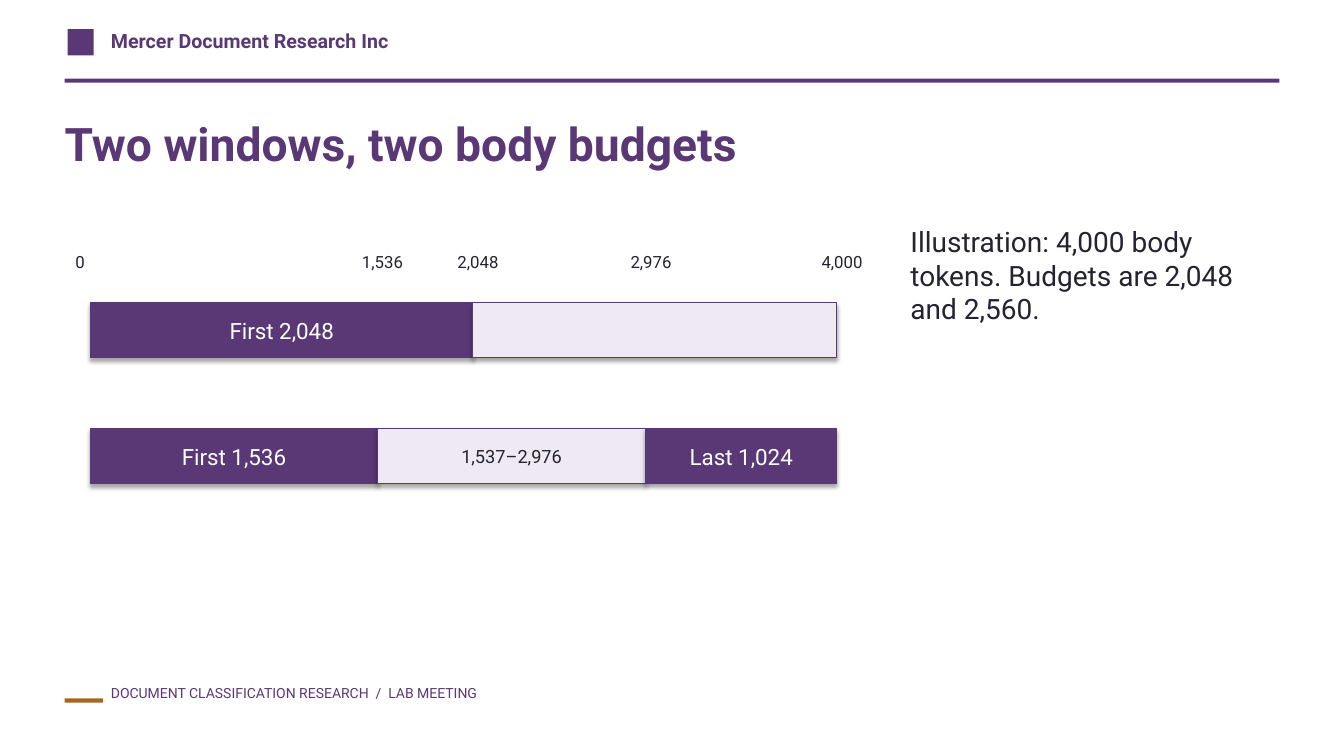
from dataclasses import dataclass

from lxml import etree
from pptx import Presentation
from pptx.dml.color import RGBColor
from pptx.enum.shapes import MSO_SHAPE
from pptx.enum.text import MSO_ANCHOR, PP_ALIGN
from pptx.oxml.ns import qn
from pptx.shapes.autoshape import Shape
from pptx.slide import Slide
from pptx.text.text import TextFrame
from pptx.util import Inches, Pt

RECTANGLE = MSO_SHAPE.RECTANGLE
MIDDLE = MSO_ANCHOR.MIDDLE
LEFT, CENTER = PP_ALIGN.LEFT, PP_ALIGN.CENTER

FONT = "Roboto"
PURPLE, LILAC, BRONZE = "593875", "EFE9F4", "A56720"
INK, WHITE = "242331", "FFFFFF"

TOTAL_TOKENS = 4000
BAR_LEFT, BAR_WIDTH, BAR_HEIGHT = 0.9, 7.4, 0.55
TICK_TOP, TICK_OFFSET = 2.45, 0.25


@dataclass(frozen=True)
class Segment:
    start: int
    end: int
    text: str = ""
    kept: bool = True


@dataclass(frozen=True)
class Window:
    top: float
    segments: tuple[Segment, ...]


TICKS = (0, 1536, 2048, 2976, TOTAL_TOKENS)
WINDOWS = (
    Window(3, (
        Segment(0, 2048, "First 2,048"),
        Segment(2048, TOTAL_TOKENS, kept=False),
    )),
    Window(4.25, (
        Segment(0, 1536, "First 1,536"),
        Segment(1536, 2976, "1,537–2,976", kept=False),
        Segment(2976, TOTAL_TOKENS, "Last 1,024"),
    )),
)


def color(value: str) -> RGBColor:
    return RGBColor.from_string(value)


def token_x(token: int) -> float:
    """Return the horizontal position of a token on the bars, in inches."""
    return BAR_LEFT + BAR_WIDTH * token / TOTAL_TOKENS


def write_text(frame: TextFrame, text: str, *, size: float, fill: str = INK,
               bold: bool = False, align: PP_ALIGN = LEFT) -> None:
    paragraph = frame.paragraphs[0]
    paragraph.alignment = align
    run = paragraph.add_run()
    run.text = text
    run.font.name = FONT
    run.font.size = Pt(size)
    run.font.bold = bold
    run.font.color.rgb = color(fill)


def add_text(slide: Slide, text: str, left: float, top: float, width: float,
             height: float, *, size: float, fill: str = INK, bold: bool = False,
             wrap: bool = True, inset: bool = False) -> None:
    box = slide.shapes.add_textbox(Inches(left), Inches(top), Inches(width), Inches(height))
    frame = box.text_frame
    frame.word_wrap = wrap
    if not inset:
        frame.margin_left = frame.margin_right = 0
        frame.margin_top = frame.margin_bottom = 0
    write_text(frame, text, size=size, fill=fill, bold=bold)


def add_rectangle(slide: Slide, left: float, top: float, width: float,
                  height: float, fill: str) -> Shape:
    shape = slide.shapes.add_shape(
        RECTANGLE, Inches(left), Inches(top), Inches(width), Inches(height))
    shape.shadow.inherit = False
    shape.fill.solid()
    shape.fill.fore_color.rgb = color(fill)
    shape.line.fill.background()
    return shape


def add_shadow(shape: Shape) -> None:
    effects = shape.element.spPr.find(qn("a:effectLst"))
    shadow = etree.SubElement(
        effects, qn("a:outerShdw"), blurRad=str(Pt(3.1)), dist=str(Pt(1.8)),
        dir="5400000", rotWithShape="0")
    black = etree.SubElement(shadow, qn("a:srgbClr"), val="000000")
    etree.SubElement(black, qn("a:alpha"), val="35000")


def add_segment(slide: Slide, segment: Segment, top: float) -> None:
    left = token_x(segment.start)
    shape = add_rectangle(slide, left, top, token_x(segment.end) - left, BAR_HEIGHT,
                          PURPLE if segment.kept else LILAC)
    shape.line.color.rgb = color(PURPLE)
    shape.line.width = Pt(0.75)
    add_shadow(shape)
    if segment.text:
        shape.text_frame.vertical_anchor = MIDDLE
        write_text(shape.text_frame, segment.text, size=16 if segment.kept else 13,
                   fill=WHITE if segment.kept else INK, align=CENTER)


def add_header_and_footer(slide: Slide) -> None:
    add_rectangle(slide, 0.67, 0.29, 0.26, 0.26, PURPLE)
    add_text(slide, "Mercer Document Research Inc", 1.1, 0.29, 3.1, 0.3,
             size=14, fill=PURPLE, bold=True, wrap=False)
    add_rectangle(slide, 0.64, 0.78, 12.05, 0.04, PURPLE)
    add_rectangle(slide, 0.64, 6.93, 0.38, 0.04, BRONZE)
    add_text(slide, "DOCUMENT CLASSIFICATION RESEARCH  /  LAB MEETING",
             1.1, 6.79, 4.3, 0.35, size=10, fill=PURPLE, wrap=False)


def add_windows(slide: Slide) -> None:
    for tick in TICKS:
        add_text(slide, f"{tick:,}", token_x(tick) - TICK_OFFSET, TICK_TOP, 0.8, 0.35,
                 size=12, inset=True)
    for window in WINDOWS:
        for segment in window.segments:
            add_segment(slide, segment, window.top)


def main() -> None:
    presentation = Presentation()
    presentation.slide_width = Inches(13.33)
    presentation.slide_height = Inches(7.5)
    slide = presentation.slides.add_slide(presentation.slide_layouts[6])
    add_header_and_footer(slide)
    add_text(slide, "Two windows, two body budgets", 0.64, 1.14, 12.04, 0.82,
             size=33, fill=PURPLE, bold=True)
    add_text(slide, "Illustration: 4,000 body tokens. Budgets are 2,048 and 2,560.",
             9.03, 2.23, 3.62, 4.3, size=20)
    add_windows(slide)
    presentation.save("out.pptx")


if __name__ == "__main__":
    main()
